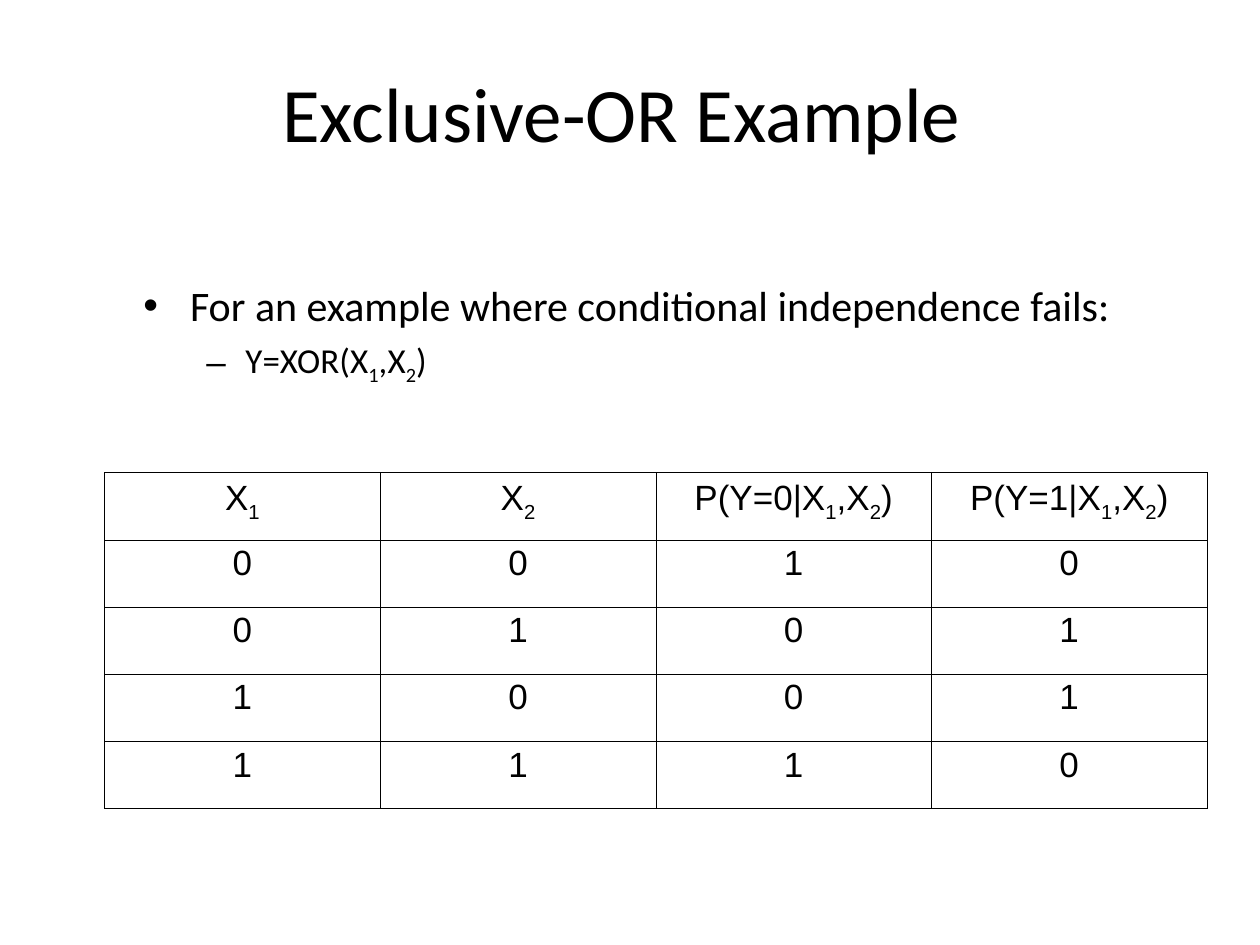
from lxml import etree
from pptx import Presentation
from pptx.dml.color import RGBColor
from pptx.enum.text import MSO_ANCHOR, PP_ALIGN
from pptx.oxml.ns import qn
from pptx.util import Inches, Pt

CENTER = PP_ALIGN.CENTER
LEFT = PP_ALIGN.LEFT
MIDDLE = MSO_ANCHOR.MIDDLE
TOP = MSO_ANCHOR.TOP
BLACK = "000000"
OUTER_WIDTH, INNER_WIDTH = 0.5, 0.23

TRUTH_TABLE = [
    ["X_1", "X_2", "P(Y=0|X_1,X_2)", "P(Y=1|X_1,X_2)"],
    ["0", "0", "1", "0"],
    ["0", "1", "0", "1"],
    ["1", "0", "0", "1"],
    ["1", "1", "1", "0"],
]


def color(hex_value):
    return RGBColor.from_string(hex_value)


def add_run(paragraph, text, size, font_name, subscript=False):
    run = paragraph.add_run()
    run.text = text
    run.font.size = Pt(size)
    run.font.name = font_name
    run.font.color.rgb = color(BLACK)
    if subscript:
        run.font._element.set("baseline", "-25000")


def add_formula(paragraph, formula, size, font_name):
    base, *indexed_parts = formula.split("_")
    add_run(paragraph, base, size, font_name)
    for part in indexed_parts:
        add_run(paragraph, part[0], size, font_name, subscript=True)
        if part[1:]:
            add_run(paragraph, part[1:], size, font_name)


def add_text_frame(slide, left, top, width, height, anchor):
    box = slide.shapes.add_textbox(Inches(left), Inches(top), Inches(width), Inches(height))
    frame = box.text_frame
    frame.word_wrap = True
    frame.vertical_anchor = anchor
    return frame


def set_bullet(paragraph, symbol, margin, indent, space_before):
    paragraph.alignment = LEFT
    paragraph.space_before = Pt(space_before)
    properties = paragraph._p.get_or_add_pPr()
    properties.set("marL", str(Inches(margin)))
    properties.set("indent", str(Inches(indent)))
    bullet_color = etree.SubElement(properties, qn("a:buClr"))
    etree.SubElement(bullet_color, qn("a:srgbClr"), val=BLACK)
    etree.SubElement(properties, qn("a:buFont"), typeface="Arial")
    etree.SubElement(properties, qn("a:buChar"), char=symbol)


def set_borders(cell, sides):
    properties = cell._tc.get_or_add_tcPr()
    for side, is_outer in sides.items():
        width = Pt(OUTER_WIDTH if is_outer else INNER_WIDTH)
        line = etree.SubElement(properties, qn(f"a:ln{side}"), w=str(width))
        fill = etree.SubElement(line, qn("a:solidFill"))
        etree.SubElement(fill, qn("a:srgbClr"), val=BLACK)


def add_title(slide, title):
    frame = add_text_frame(slide, 1.02, 0.11, 7.83, 1.55, MIDDLE)
    paragraph = frame.paragraphs[0]
    paragraph.alignment = CENTER
    add_run(paragraph, title, 44, "Calibri")


def add_body(slide):
    frame = add_text_frame(slide, 1.04, 2.17, 8.3, 4.5, TOP)
    statement = frame.paragraphs[0]
    set_bullet(statement, "•", 0.37, -0.37, 6)
    add_run(statement, "For an example where conditional independence fails:", 24, "Calibri")
    definition = frame.add_paragraph()
    definition.level = 1
    set_bullet(definition, "–", 0.81, -0.31, 5)
    add_formula(definition, "Y=XOR(X_1,X_2)", 20, "Calibri")


def add_truth_table(slide, rows):
    last_row, last_column = len(rows) - 1, len(rows[0]) - 1
    table = slide.shapes.add_table(
        len(rows), len(rows[0]), Inches(0.83), Inches(3.75), Inches(8.75), Inches(2.67)
    ).table
    table.first_row = False
    table.horz_banding = False
    for row, formulas in enumerate(rows):
        for column, formula in enumerate(formulas):
            cell = table.cell(row, column)
            paragraph = cell.text_frame.paragraphs[0]
            paragraph.alignment = CENTER
            paragraph.line_spacing = 0.94
            paragraph.space_before = Pt(5)
            add_formula(paragraph, formula, 20, "Arial")
            set_borders(cell, {
                "L": column == 0,
                "R": column == last_column,
                "T": row == 0,
                "B": row == last_row,
            })
            cell.fill.background()


def main():
    presentation = Presentation()
    presentation.slide_width = Inches(10)
    presentation.slide_height = Inches(7.5)
    slide = presentation.slides.add_slide(presentation.slide_layouts[6])
    add_title(slide, "Exclusive-OR Example")
    add_body(slide)
    add_truth_table(slide, TRUTH_TABLE)
    presentation.save("out.pptx")


if __name__ == "__main__":
    main()
